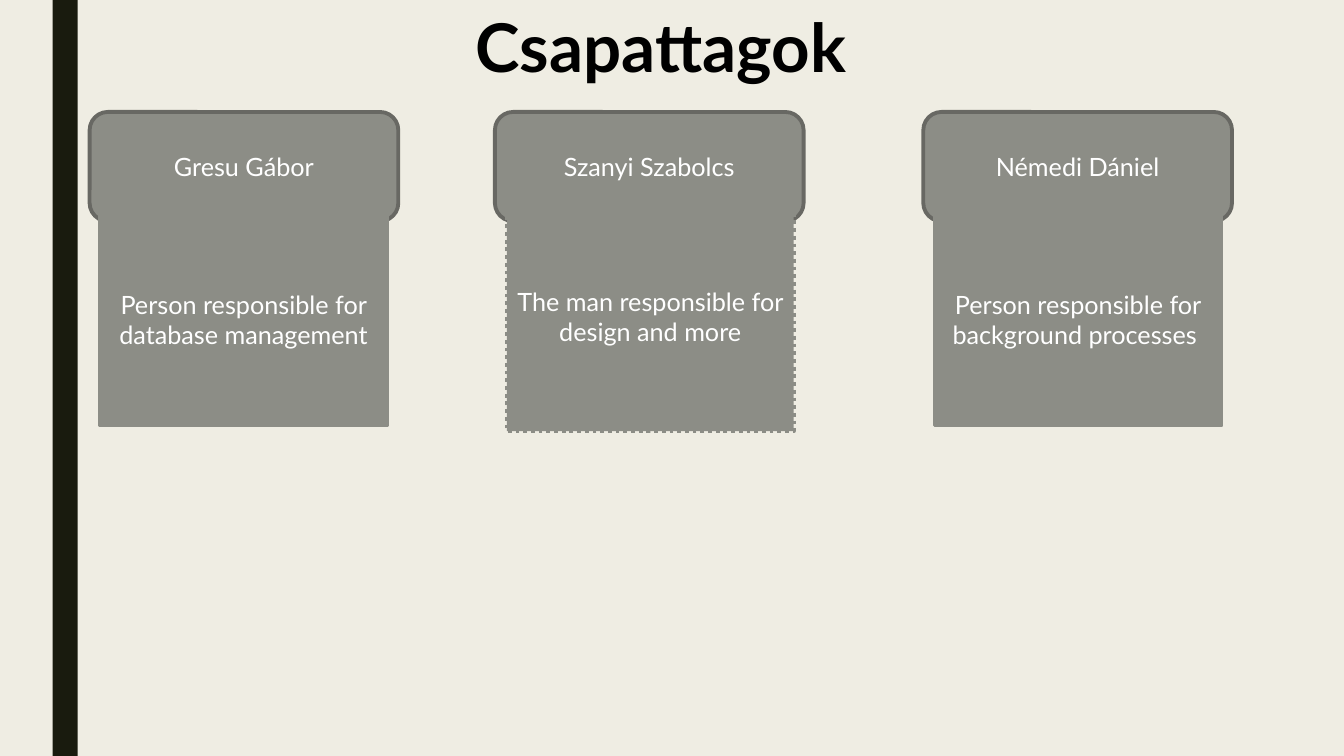
from pptx import Presentation
from pptx.dml.color import RGBColor
from pptx.enum.dml import MSO_LINE
from pptx.enum.shapes import MSO_SHAPE
from pptx.enum.text import MSO_ANCHOR, MSO_AUTO_SIZE, PP_ALIGN
from pptx.util import Pt

RECT, ROUNDED = MSO_SHAPE.RECTANGLE, MSO_SHAPE.ROUNDED_RECTANGLE
DOTTED = MSO_LINE.ROUND_DOT
LEFT, CENTER = PP_ALIGN.LEFT, PP_ALIGN.CENTER
TOP, MIDDLE = MSO_ANCHOR.TOP, MSO_ANCHOR.MIDDLE
FIT_SHAPE = MSO_AUTO_SIZE.SHAPE_TO_FIT_TEXT

FONT = "Lato"
COLORS = {
    "background": "EFEDE3",
    "band": "191B0E",
    "card": "8C8D86",
    "border": "686863",
    "title": "000000",
    "text": "FFFFFF",
}
MEMBERS = [
    ("Gresu Gábor", 64, "Person responsible for database management",
     (71.5, 152, 205, 152), None),
    ("Szanyi Szabolcs", 353.5, "The man responsible for design and more",
     (362, 144.5, 205, 163.5), DOTTED),
    ("Némedi Dániel", 659.5, "Person responsible for background processes ",
     (667.5, 152, 205, 152), None),
]


def rgb(name):
    return RGBColor.from_string(COLORS[name])


def write(sp, text, size=18, color="text", bold=False, align=CENTER, anchor=MIDDLE):
    tf = sp.text_frame
    tf.word_wrap = True
    tf.vertical_anchor = anchor
    p = tf.paragraphs[0]
    p.alignment = align
    r = p.add_run()
    r.text = text
    r.font.name = FONT
    r.font.size = Pt(size)
    r.font.bold = bold
    r.font.color.rgb = rgb(color)


def add_title(s, text, box):
    sp = s.shapes.title
    sp.left, sp.top, sp.width, sp.height = map(Pt, box)
    write(sp, text, size=48, color="title", bold=True, align=LEFT, anchor=TOP)
    sp.text_frame.auto_size = FIT_SHAPE


def add_box(s, kind, box, fill, border=None, dash=None):
    sp = s.shapes.add_shape(kind, *map(Pt, box))
    sp.shadow.inherit = False
    sp.fill.solid()
    sp.fill.fore_color.rgb = rgb(fill)
    if border:
        sp.line.color.rgb = rgb(border)
        sp.line.width = Pt(2.75)
        if dash:
            sp.line.dash_style = dash
    else:
        sp.line.fill.background()
    return sp


def add_member(s, name, left, role, role_box, dash):
    write(add_box(s, ROUNDED, (left, 80, 220.5, 78), "card", "border"), name)
    write(add_box(s, RECT, role_box, "card", "card", dash), role)


def main():
    prs = Presentation()
    prs.slide_width, prs.slide_height = Pt(960), Pt(540)
    s = prs.slides.add_slide(prs.slide_layouts[5])
    s.background.fill.solid()
    s.background.fill.fore_color.rgb = rgb("background")
    add_box(s, RECT, (37.5, 0, 18, 540), "band")
    add_title(s, "Csapattagok", (332.5, 0, 294.5, 65.5))
    for member in MEMBERS:
        add_member(s, *member)
    prs.save("out.pptx")


if __name__ == "__main__":
    main()
